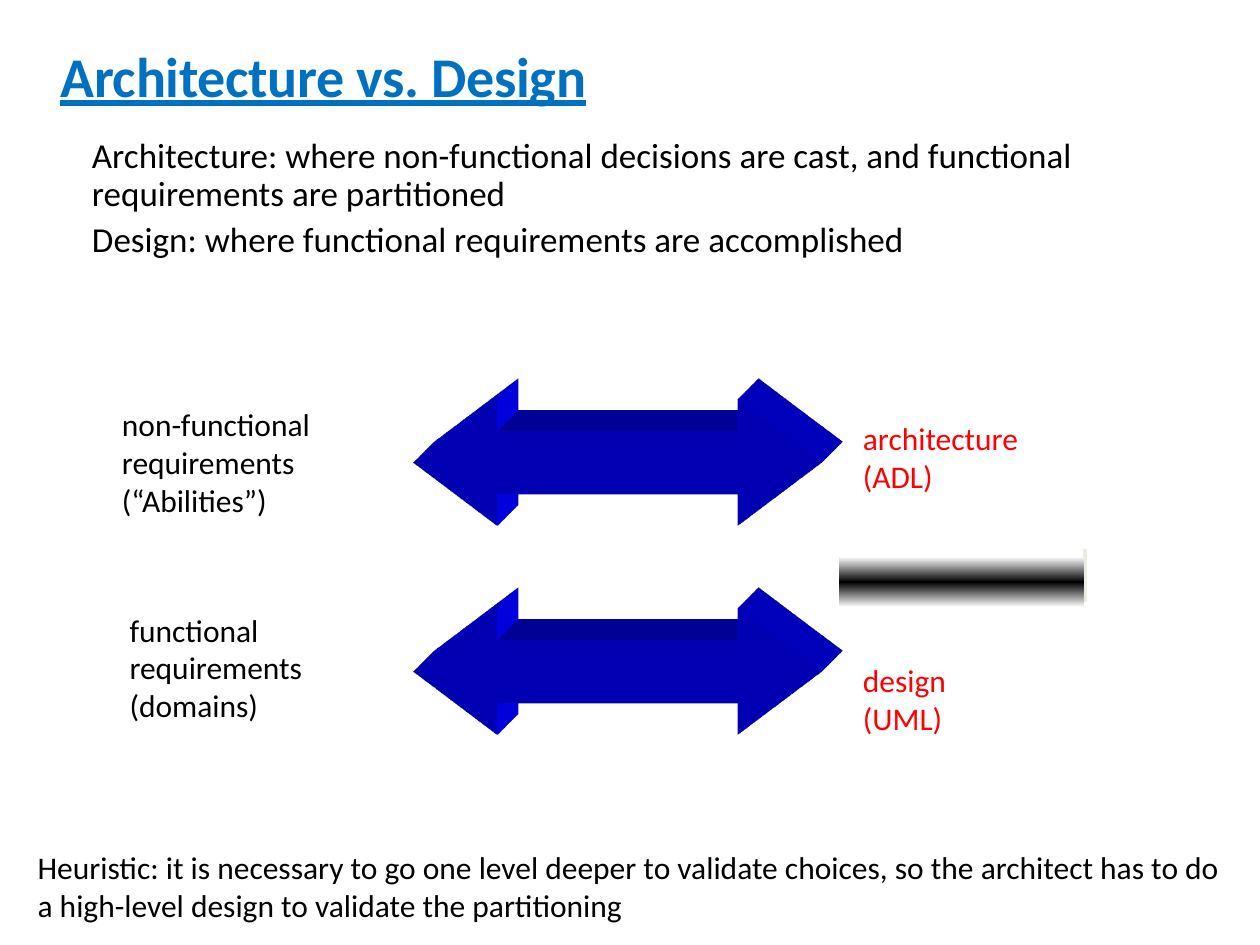
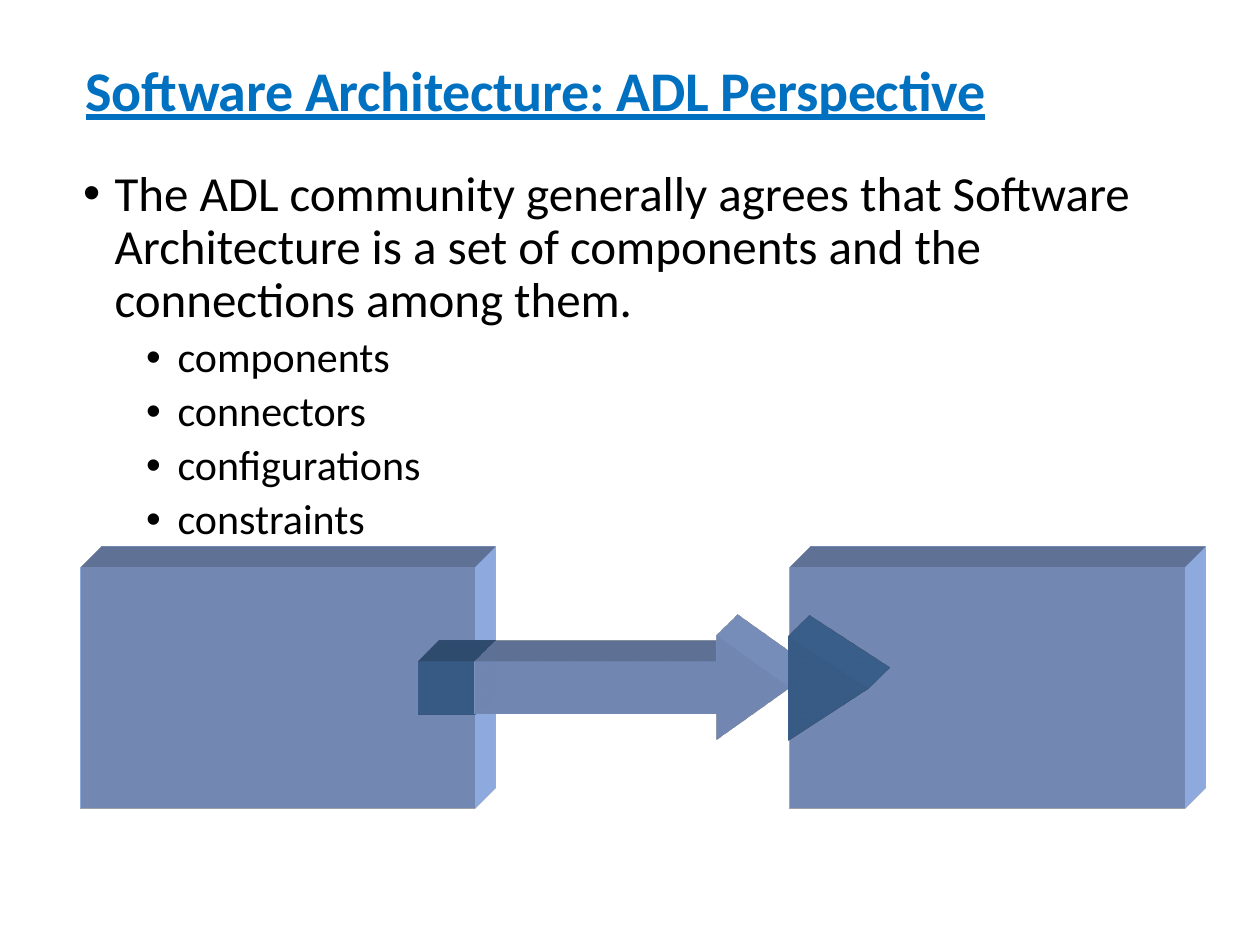
from pptx import Presentation
from pptx.dml.color import RGBColor
from pptx.enum.shapes import MSO_CONNECTOR, MSO_SHAPE as SHAPE
from pptx.enum.text import MSO_ANCHOR as ANCHOR, MSO_AUTO_SIZE, PP_ALIGN
from pptx.oxml import parse_xml
from pptx.oxml.ns import nsdecls
from pptx.util import Inches, Pt

FONT = "Calibri"
TITLE, TEXT, ACCENT, WHITE = "0070C0", "000000", "FF0000", "FFFFFF"
ARROW, BOX, PORT = "0000FF", "A2C1FE", "4F81BD"

VERSUS = {
    "title": ("Architecture vs. Design", (0.37, 0.28, 8.94, 0.53)),
    "body": ((0.13, 1.04, 8.92, 1.08), ANCHOR.MIDDLE, [
        ("Architecture: where non-functional decisions are cast, and functional "
         "requirements are partitioned", 1, 20, 0.5, ""),
        ("Design: where functional requirements are accomplished", 1, 20, 0.5, ""),
    ]),
}
ADL = {
    "title": ("Software Architecture: ADL Perspective", (0.57, 0.39, 9.11, 0.53)),
    "body": ((0.56, 1.29, 8.85, 6.01), ANCHOR.TOP, [
        ("The ADL community generally agrees that Software Architecture is a set of "
         "components and the connections among them.", 0, 28, 0.25, "•"),
        *[(word, 1, 24, 0.75, "•")
          for word in ("components", "connectors", "configurations", "constraints")],
    ]),
}
LABELS = [
    ("non-functional requirements\v(“Abilities”)", (0.87, 3.16, 2.43, 1.01), TEXT),
    ("functional requirements\v(domains)", (0.93, 4.79, 2.43, 1.01), TEXT),
    ("Heuristic: it is necessary to go one level deeper to validate choices, so the "
     "architect has to do a high-level design to validate the partitioning",
     (0.2, 6.68, 9.67, 0.7), TEXT),
    ("architecture\v(ADL)", (6.75, 2.75, 1.78, 1.75), ACCENT),
    ("design\v(UML)", (6.75, 4.67, 1.78, 1.75), ACCENT),
]
ARROW_TOPS = (3.17, 4.83)
COMPONENT_LEFTS = (0.64, 6.27)
COMPONENT_TOP, COMPONENT_W, COMPONENT_H = 4.5, 3.13, 1.92


def rgb(value):
    return RGBColor.from_string(value)


def xml(text):
    head, tail = text.split(">", 1) if "/>" not in text.split(">", 1)[0] + ">" else (text[:-2], "")
    return parse_xml(f"{head} {nsdecls('a')}" + (f">{tail}" if tail else "/>"))


def inches(at):
    return [Inches(v) for v in at]


def place(s, at):
    for name, value in zip(("left", "top", "width", "height"), inches(at)):
        setattr(s, name, value)


def style(font, color, **values):
    font.color.rgb = rgb(color)
    for name, value in {"name": FONT, **values}.items():
        setattr(font, name, value)


def set_frame(tf, anchor):
    values = {"word_wrap": True, "auto_size": MSO_AUTO_SIZE.NONE, "vertical_anchor": anchor}
    for name, value in values.items():
        setattr(tf, name, value)


def add_slide(prs, content):
    slide = prs.slides.add_slide(prs.slide_layouts[1])
    text, at = content["title"]
    s = slide.shapes.title
    place(s, at)
    set_frame(s.text_frame, ANCHOR.TOP)
    p = s.text_frame.paragraphs[0]
    p.alignment = PP_ALIGN.LEFT
    p._p.get_or_add_pPr().set("marL", str(Inches(0.01)))
    r = p.add_run()
    r.text = text
    style(r.font, TITLE, size=Pt(32), bold=True, underline=True)
    r._r.get_or_add_rPr().set("spc", "-20")

    at, anchor, items = content["body"]
    s = slide.placeholders[1]
    place(s, at)
    tf = s.text_frame
    set_frame(tf, anchor)
    for i, (text, level, size, margin, bullet) in enumerate(items):
        p = tf.add_paragraph() if i else tf.paragraphs[0]
        values = {"level": level, "line_spacing": 0.9, "space_before": Pt(5 if i else 0)}
        for name, value in values.items():
            setattr(p, name, value)
        pPr = p._p.get_or_add_pPr()
        pPr.set("marL", str(Inches(margin)))
        pPr.set("indent", str(Inches(-0.25 if bullet else 0)))
        pPr.append(xml(f'<a:buChar char="{bullet}"/>' if bullet else "<a:buNone/>"))
        r = p.add_run()
        r.text = text
        style(r.font, TEXT, size=Pt(size))
    return slide


def add_label(slide, text, at, color):
    tf = slide.shapes.add_textbox(*inches(at)).text_frame
    set_frame(tf, ANCHOR.MIDDLE)
    p = tf.paragraphs[0]
    p.text = text
    for r in p.runs:
        style(r.font, color, size=Pt(18))


def add_shape(slide, kind, at, color=None, adjust=()):
    s = slide.shapes.add_shape(kind, *inches(at))
    s.shadow.inherit = False
    s.line.fill.background()
    if color:
        s.fill.solid()
        s.fill.fore_color.rgb = rgb(color)
    for i, value in enumerate(adjust):
        s.adjustments[i] = value
    return s


def add_solid(slide, kind, at, color, adjust=()):
    s = add_shape(slide, kind, at, color, adjust)
    spPr = s._element.spPr
    spPr.append(xml('<a:scene3d><a:camera prst="legacyObliqueTopRight"/>'
                    '<a:lightRig rig="legacyFlat3" dir="b"/></a:scene3d>'))
    spPr.append(xml('<a:sp3d extrusionH="430200" prstMaterial="legacyMatte">'
                    '<a:bevelT w="13500" h="13500" prst="angle"/>'
                    '<a:bevelB w="13500" h="13500" prst="angle"/>'
                    f'<a:extrusionClr><a:srgbClr val="{color}"/></a:extrusionClr></a:sp3d>'))
    return s


def add_divider(slide):
    s = add_shape(slide, SHAPE.RECTANGLE, (6.65, 4.34, 1.94, 0.4), WHITE)
    s.line.color.rgb = rgb(WHITE)
    s.line.width = Pt(1)
    s._element.spPr.find("{*}effectLst").append(
        xml('<a:outerShdw dist="35921" dir="2700000" algn="ctr">'
            '<a:srgbClr val="EEECE1"/></a:outerShdw>'))
    s = slide.shapes.add_connector(MSO_CONNECTOR.STRAIGHT, *inches((6.65, 4.5, 8.6, 4.5)))
    s.line.color.rgb = rgb(WHITE)
    s.line.width = Pt(2.25)
    s._element.spPr.append(xml("<a:effectLst/>"))
    s = add_shape(slide, SHAPE.RECTANGLE, (6.66, 4.42, 1.94, 0.4))
    stops = "".join(f'<a:gs pos="{pos}"><a:srgbClr val="{color}"/></a:gs>'
                    for pos, color in ((0, WHITE), (50000, TEXT), (100000, WHITE)))
    s._element.spPr.insert(2, xml(f'<a:gradFill rotWithShape="1"><a:gsLst>{stops}</a:gsLst>'
                                  '<a:lin ang="5400000" scaled="1"/></a:gradFill>'))


def main():
    """Build the two architecture slides and save them."""
    prs = Presentation()
    prs.slide_width, prs.slide_height = Inches(10), Inches(7.5)

    slide = add_slide(prs, VERSUS)
    for top in ARROW_TOPS:
        add_solid(slide, SHAPE.LEFT_RIGHT_ARROW, (3.28, top, 3.24, 1), ARROW, (0.5, 0.667))
    add_divider(slide)
    for label in LABELS:
        add_label(slide, *label)

    slide = add_slide(prs, ADL)
    source, target = [(left, COMPONENT_TOP, COMPONENT_W, COMPONENT_H) for left in COMPONENT_LEFTS]
    add_solid(slide, SHAPE.RECTANGLE, source, BOX)
    add_solid(slide, SHAPE.RECTANGLE, (3.32, 5.25, 0.45, 0.42), PORT)
    add_solid(slide, SHAPE.RIGHT_ARROW, (3.77, 5.04, 2.5, 0.83), BOX, (0.5, 0.7))
    add_solid(slide, SHAPE.RECTANGLE, target, BOX)
    s = add_solid(slide, SHAPE.ISOSCELES_TRIANGLE, (6.16, 5.15, 0.83, 0.63), PORT)
    s.rotation = 90

    prs.save("out.pptx")


if __name__ == "__main__":
    main()
